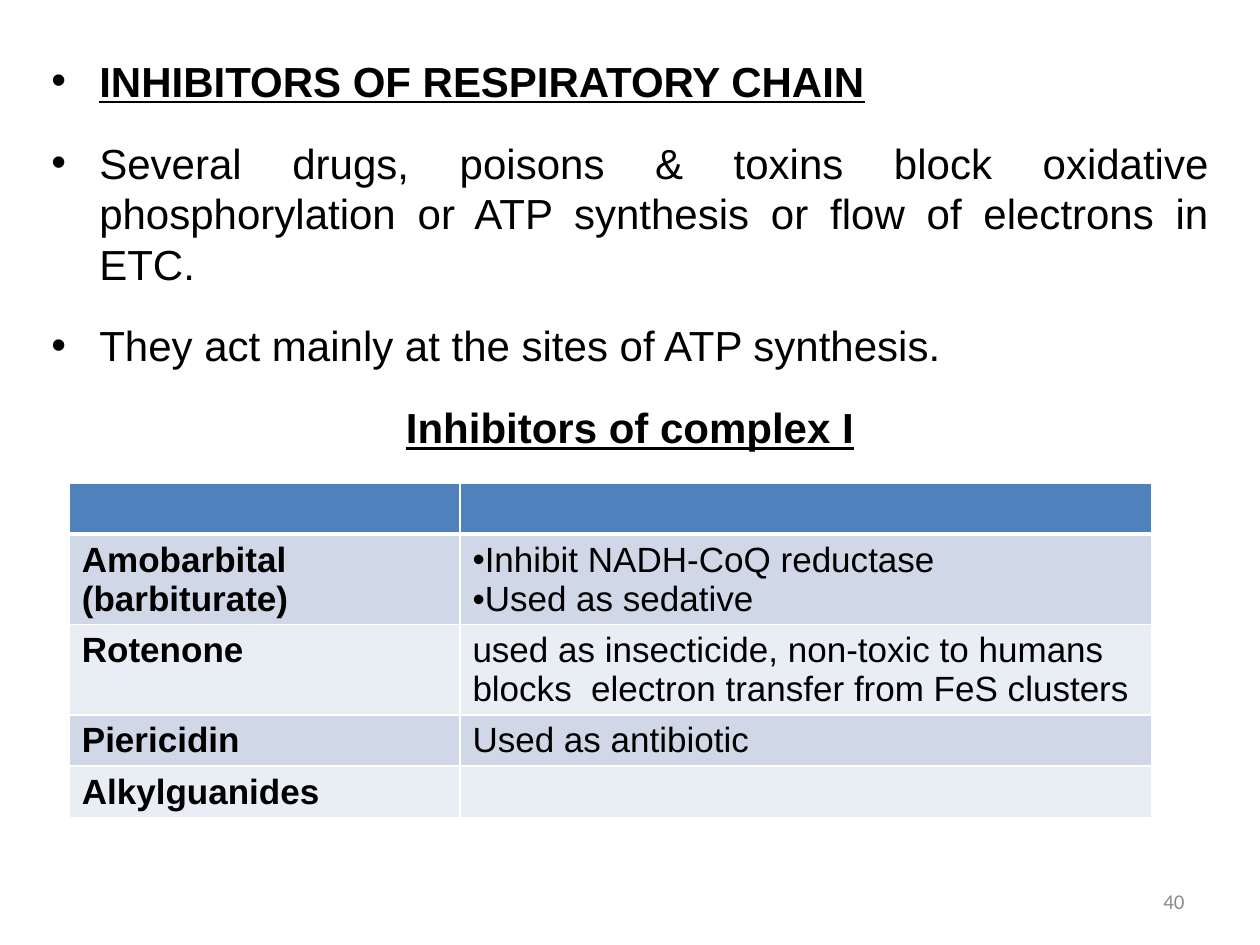
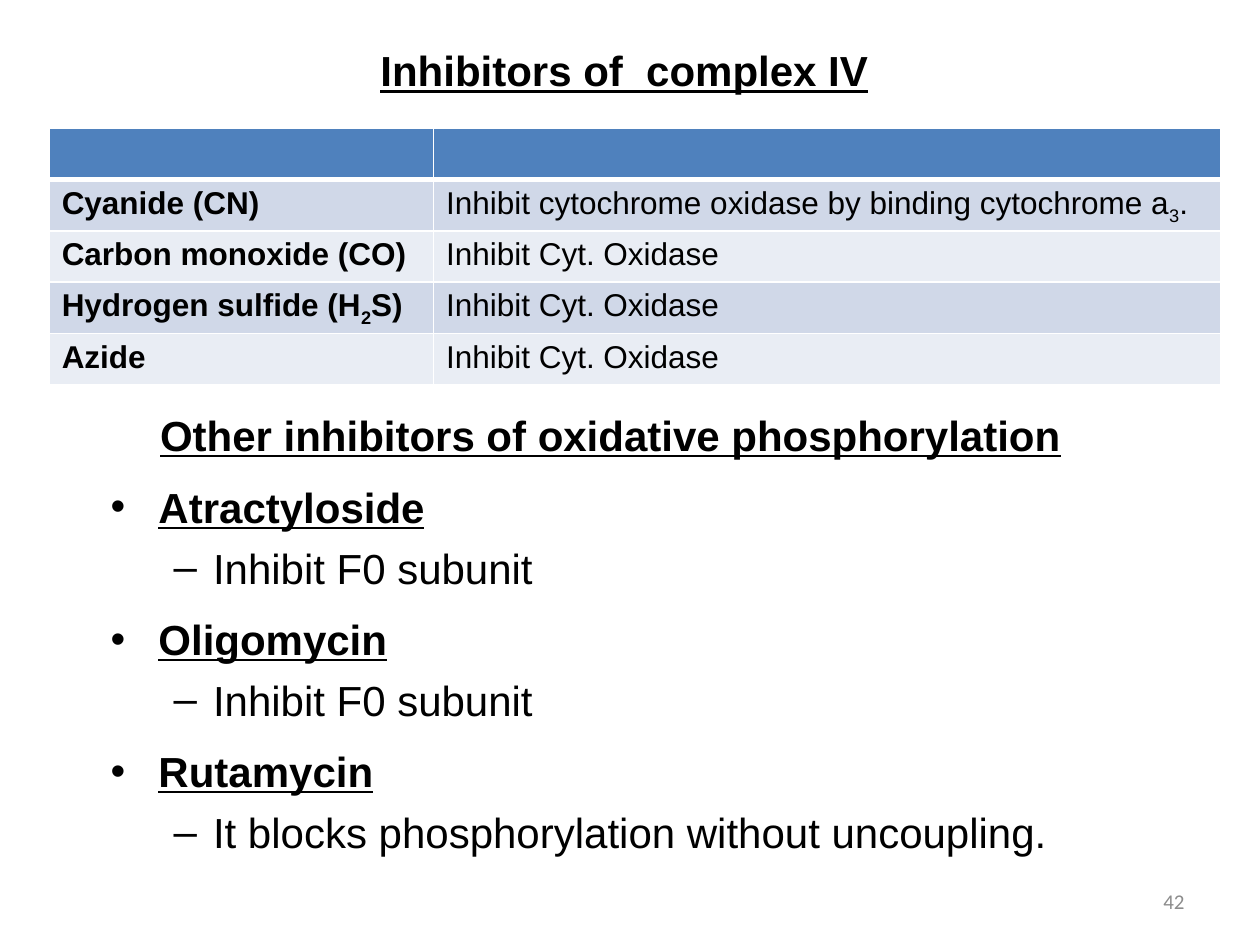
from lxml.etree import SubElement
from pptx import Presentation
from pptx.dml.color import RGBColor
from pptx.enum.text import MSO_ANCHOR as Anchor, PP_ALIGN as Align
from pptx.oxml import parse_xml
from pptx.oxml.ns import nsdecls, qn
from pptx.util import Inches, Pt

SLIDE_W, SLIDE_H = Inches(10), Inches(7.5)
COL, ROW = SLIDE_W / 100, SLIDE_H / 100
TABLE_ROW = 5.42

BLACK, GREY, WHITE = "000000", "8C8C8C", "FFFFFF"
HEADER_FILL, BANDS = "4F81BD", ("D0D8E8", "E9EDF4")

PLAIN = {"name": "Arial", "size": Pt(24)}
TITLE = PLAIN | {"bold": True, "underline": True}
NUMBER = {"name": "Calibri", "size": Pt(12)}

HEADING = {"look": TITLE, "align": Align.CENTER, "indent": (3.8, -3.8)}
TOPIC = {"look": TITLE, "align": Align.LEFT, "indent": (3.8, -3.8), "bullet": "•"}
POINT = TOPIC | {"look": PLAIN, "align": Align.JUSTIFY}
DETAIL = {"look": PLAIN, "align": Align.LEFT, "indent": (8.13, -3.13),
          "bullet": "–", "level": 1, "before": 6}


def rgb(hex_colour):
    """Turn a hex string into a colour."""
    return RGBColor.from_string(hex_colour)


def place(left, top, width, height):
    """Turn grid columns and rows into slide lengths."""
    return [int(n * unit) for n, unit in
            zip((left, top, width, height), (COL, ROW, COL, ROW))]


def write_runs(paragraph, wording, look, colour=BLACK):
    """Write the wording, lowering each part between underscores."""
    for i, part in enumerate(wording.split("_")):
        run = paragraph.add_run()
        run.text = part
        for key, value in look.items():
            setattr(run.font, key, value)
        run.font.color.rgb = rgb(colour)
        if i % 2:
            run._r.get_or_add_rPr().set("baseline", "-25000")


def add_bullet(paragraph, mark):
    """Give the paragraph a bullet mark."""
    props = paragraph._p.get_or_add_pPr()
    SubElement(props, qn("a:buFont")).set("typeface", "Arial")
    SubElement(props, qn("a:buChar")).set("char", mark)


def add_outline(slide, box, entries, gap):
    """Write styled paragraphs into a box, with a gap before topics."""
    frame = slide.shapes.add_textbox(*place(*box)).text_frame
    frame.word_wrap = True
    for i, (style, wording) in enumerate(entries):
        paragraph = frame.add_paragraph() if i else frame.paragraphs[0]
        if "bullet" in style:
            add_bullet(paragraph, style["bullet"])
        layout = {"alignment": style["align"], "level": style.get("level", 0),
                  "space_before": Pt(style.get("before", gap) if i else 0)}
        for key, value in layout.items():
            setattr(paragraph, key, value)
        margin, hanging = style["indent"]
        props = paragraph._p.get_or_add_pPr()
        props.set("marL", str(int(margin * COL)))
        props.set("indent", str(int(hanging * COL)))
        write_runs(paragraph, wording, style["look"])


def style_cell(cell, fill, bottom):
    """Fill a cell and draw its white borders."""
    cell.margin_bottom = 0
    cell.fill.solid()
    cell.fill.fore_color.rgb = rgb(fill)
    props = cell._tc.get_or_add_tcPr()
    for i, (side, width) in enumerate(zip("LRTB", (1, 1, 1, bottom))):
        props.insert(i, parse_xml(
            f'<a:ln{side} {nsdecls("a")} w="{Pt(width)}"><a:solidFill>'
            f'<a:srgbClr val="{WHITE}"/></a:solidFill></a:ln{side}>'))


def add_inhibitors(slide, corner, widths, size, inhibitors):
    """Build a table of inhibitors and their effects under a blank header."""
    count = len(inhibitors) + 1
    box = place(*corner, sum(widths), count * TABLE_ROW)
    table = slide.shapes.add_table(count, 2, *box).table
    for column, width in zip(table.columns, widths):
        column.width = int(width * COL)
    for cell in table.rows[0].cells:
        style_cell(cell, HEADER_FILL, 3)
    for r, (inhibitor, *effects) in enumerate(inhibitors, 1):
        for c, lines in enumerate(([inhibitor], effects)):
            cell = table.cell(r, c)
            style_cell(cell, BANDS[(r - 1) % 2], 1)
            frame = cell.text_frame
            look = {"name": "Arial", "size": Pt(size), "bold": c == 0}
            for i, line in enumerate(lines):
                paragraph = frame.add_paragraph() if i else frame.paragraphs[0]
                if line.startswith("•"):
                    add_bullet(paragraph, "•")
                write_runs(paragraph, line.lstrip("•"), look)


def add_number(slide, number):
    """Write the slide number at the lower right."""
    frame = slide.shapes.add_textbox(*place(71.7, 92.7, 23.3, 5.3)).text_frame
    frame.word_wrap = True
    frame.vertical_anchor = Anchor.MIDDLE
    frame.paragraphs[0].alignment = Align.RIGHT
    write_runs(frame.paragraphs[0], number, NUMBER, GREY)


def build_chain_slide(slide):
    """Introduce the inhibitors and list those of complex I."""
    add_outline(slide, (3.1, 5.2, 93.8, 44.8), [
        (TOPIC, "INHIBITORS OF RESPIRATORY CHAIN"),
        (POINT, "Several drugs, poisons & toxins block oxidative "
                "phosphorylation or ATP synthesis or flow of electrons in ETC."),
        (POINT, "They act mainly at the sites of ATP synthesis."),
        (HEADING, "Inhibitors of complex I"),
    ], gap=18)
    add_number(slide, "40")
    add_inhibitors(slide, (5.5, 51.1), (31, 54.9), 20, [
        ("Amobarbital (barbiturate)", "•Inhibit NADH-CoQ reductase",
         "•Used as sedative"),
        ("Rotenone", "used as insecticide, non-toxic to humans",
         "blocks  electron transfer from FeS clusters"),
        ("Piericidin", "Used as antibiotic"),
        ("Alkylguanides",),
    ])


def build_complex_iv_slide(slide):
    """List the inhibitors of complex IV and the other inhibitors."""
    add_outline(slide, (2.3, 4.1, 94.5, 9.3),
                [(HEADING, "Inhibitors of  complex IV")], gap=0)
    add_number(slide, "42")
    oxidase = "Inhibit Cyt. Oxidase"
    add_inhibitors(slide, (3.9, 13.6), (30.5, 62.5), 18, [
        ("Cyanide (CN)", "Inhibit cytochrome oxidase by binding cytochrome a_3_."),
        ("Carbon monoxide (CO)", oxidase),
        ("Hydrogen sulfide (H_2_S)", oxidase),
        ("Azide", oxidase),
    ])
    subunit = "Inhibit F0 subunit"
    add_outline(slide, (7.8, 42.7, 81.3, 50), [
        (HEADING, "Other inhibitors of oxidative phosphorylation"),
        (TOPIC, "Atractyloside"), (DETAIL, subunit),
        (TOPIC, "Oligomycin"), (DETAIL, subunit),
        (TOPIC, "Rutamycin"),
        (DETAIL, "It blocks phosphorylation without uncoupling."),
    ], gap=12)


def main():
    """Build both slides and save them."""
    deck = Presentation()
    deck.slide_width, deck.slide_height = SLIDE_W, SLIDE_H
    for build in (build_chain_slide, build_complex_iv_slide):
        build(deck.slides.add_slide(deck.slide_layouts[6]))
    deck.save("out.pptx")


if __name__ == "__main__":
    main()
